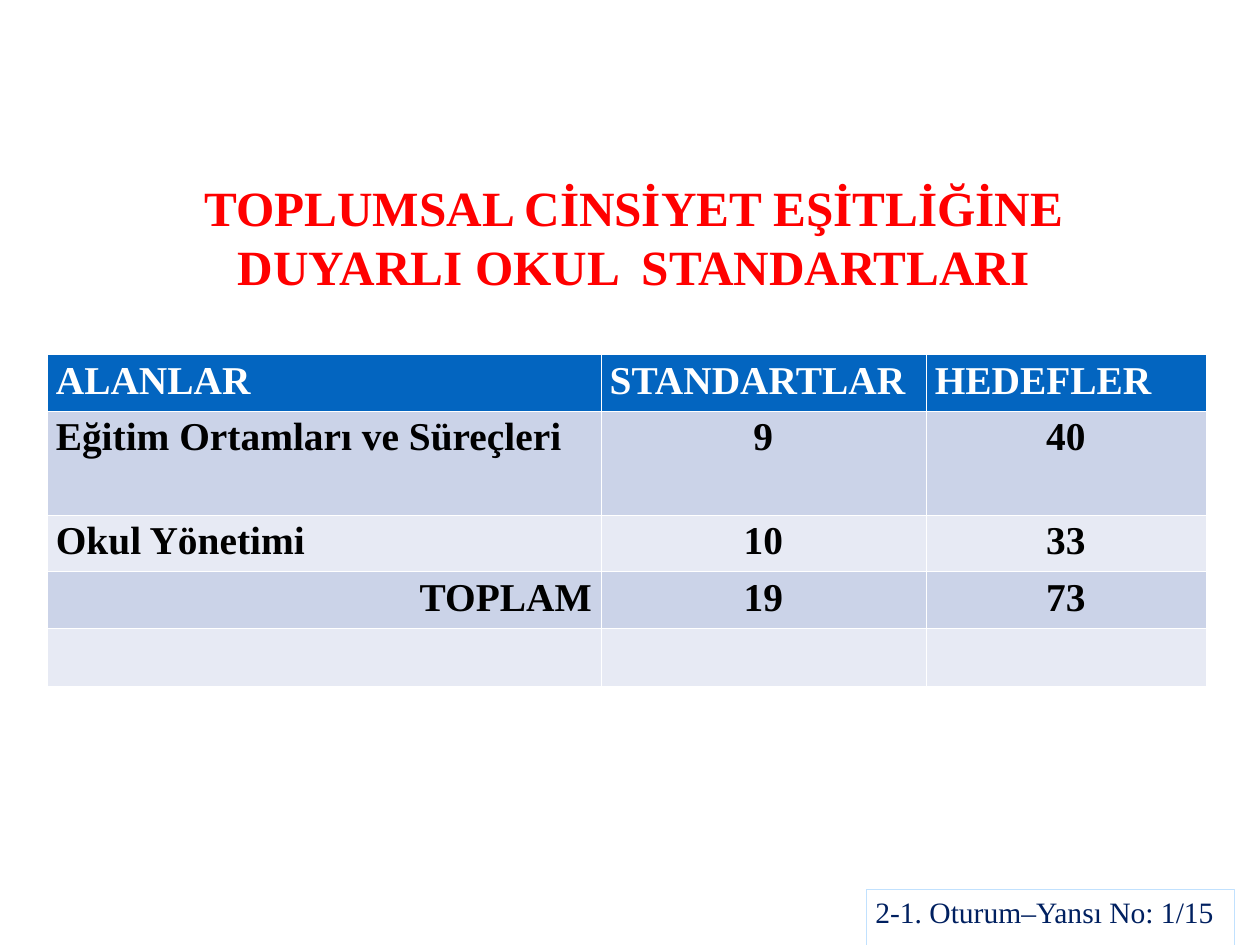
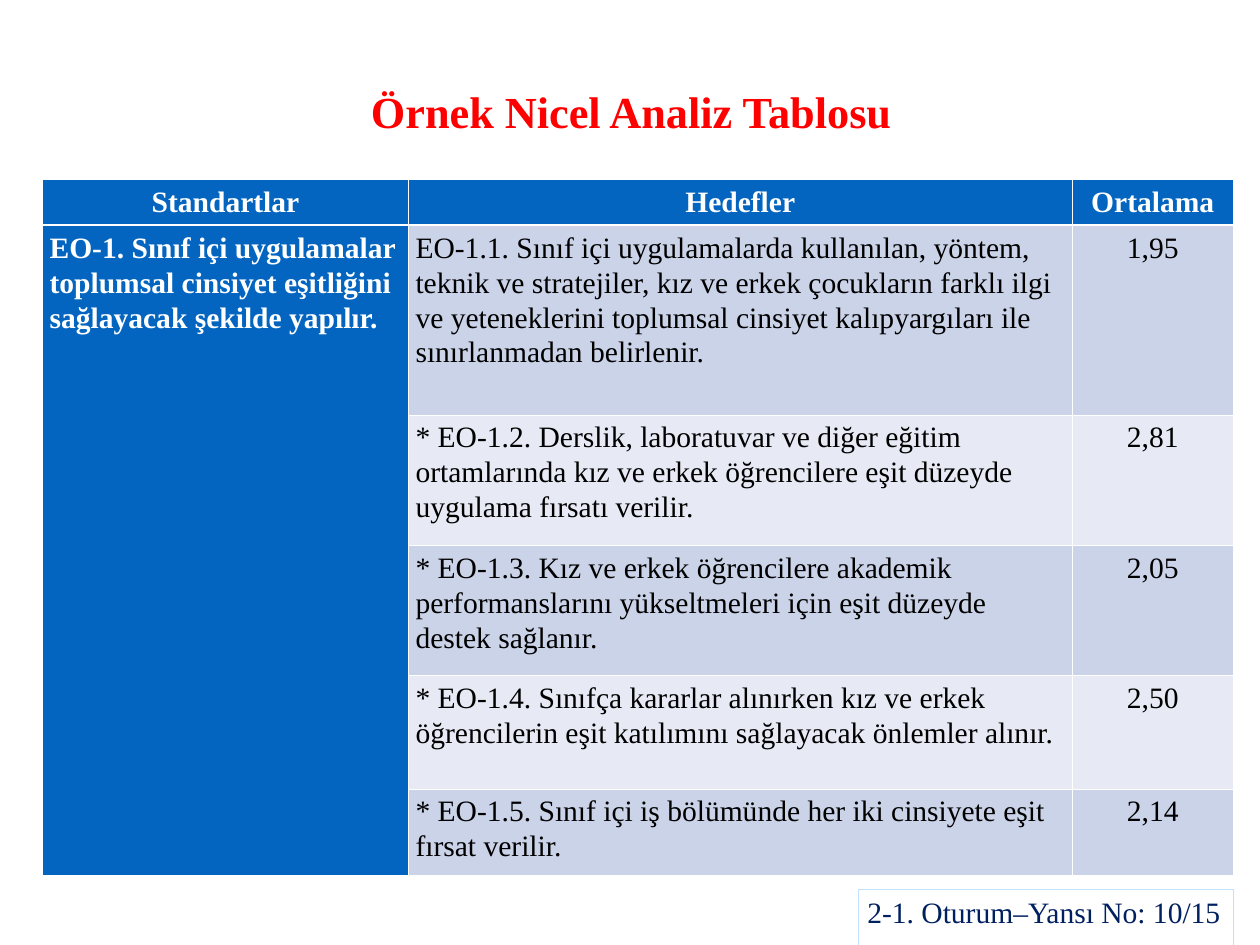
from lxml import etree
from pptx import Presentation
from pptx.dml.color import RGBColor
from pptx.enum.shapes import MSO_SHAPE
from pptx.enum.text import MSO_ANCHOR, PP_ALIGN
from pptx.oxml.ns import qn
from pptx.util import Inches, Pt

LEFT, CENTER, RIGHT = PP_ALIGN.LEFT, PP_ALIGN.CENTER, PP_ALIGN.RIGHT
TOP, MIDDLE = MSO_ANCHOR.TOP, MSO_ANCHOR.MIDDLE
RECT = MSO_SHAPE.RECTANGLE
TITLE_ONLY = 5

FONT = "Times New Roman"
COLORS = {
    "title": "FF0000", "header": "0365C0", "band_dark": "CBD3E8",
    "band_light": "E7EAF4", "white": "FFFFFF", "black": "000000",
    "footer_text": "002060", "footer_line": "C1E1FE",
}
THIN, THICK = Pt(0.45), Pt(1.47)

# Content
SLIDES = [
    {
        "title": "TOPLUMSAL CİNSİYET EŞİTLİĞİNE DUYARLI OKUL  STANDARTLARI",
        "title_box": (1.02, 2.14, 12.27, 1.05), "title_size": 40,
        "footer": "2-1. Oturum–Yansı No: 1/15", "footer_box": (9.78, 10.03, 4.15, 0.9),
        "table": {
            "at": (0.53, 4), "cols": (6.25, 3.67, 3.16),
            "row_heights": (0.64, 1.17, 0.64, 0.64, 0.65),
            "size": 32, "margin": 0.1, "spacing": 1.0, "bold_body": True,
            "header_align": LEFT, "right_cells": [(3, 0)], "merged_first": False,
            "rows": [
                ("ALANLAR", "STANDARTLAR", "HEDEFLER"),
                ("Eğitim Ortamları ve Süreçleri", "9", "40"),
                ("Okul Yönetimi", "10", "33"),
                ("TOPLAM", "19", "73"),
                ("", "", ""),
            ],
            "body_align": (LEFT, CENTER, CENTER),
        },
    },
    {
        "title": "Örnek Nicel Analiz Tablosu",
        "title_box": (1.37, 0.71, 11.51, 1.08), "title_size": 36,
        "footer": "2-1. Oturum–Yansı No: 10/15", "footer_box": (9.69, 10.03, 4.23, 0.9),
        "table": {
            "at": (0.48, 2.02), "cols": (4.13, 7.49, 1.82),
            "row_heights": (0.52, 2.14, 1.47, 1.47, 1.28, 0.97),
            "size": 24, "margin": 0.08, "spacing": 1.07, "bold_body": False,
            "header_align": CENTER, "right_cells": [], "merged_first": True,
            "rows": [
                ("Standartlar", "Hedefler", "Ortalama"),
                ("EO-1. Sınıf içi uygulamalar toplumsal cinsiyet eşitliğini sağlayacak "
                 "şekilde yapılır.",
                 "EO-1.1. Sınıf içi uygulamalarda kullanılan, yöntem, teknik ve stratejiler, "
                 "kız ve erkek çocukların farklı ilgi ve yeteneklerini toplumsal cinsiyet "
                 "kalıpyargıları ile sınırlanmadan belirlenir.", "1,95"),
                ("", "* EO-1.2. Derslik, laboratuvar ve diğer eğitim ortamlarında kız ve "
                 "erkek öğrencilere eşit düzeyde uygulama fırsatı verilir.", "2,81"),
                ("", "* EO-1.3. Kız ve erkek öğrencilere akademik performanslarını "
                 "yükseltmeleri için eşit düzeyde destek sağlanır.", "2,05"),
                ("", "* EO-1.4. Sınıfça kararlar alınırken kız ve erkek öğrencilerin eşit "
                 "katılımını sağlayacak önlemler alınır.", "2,50"),
                ("", "* EO-1.5. Sınıf içi iş bölümünde her iki cinsiyete eşit fırsat "
                 "verilir.", "2,14"),
            ],
            "body_align": (LEFT, LEFT, CENTER),
        },
    },
]


def rgb(name):
    return RGBColor.from_string(COLORS[name])


def inches(values):
    return [Inches(v) for v in values]


def style(p, size, color, bold=False, align=LEFT):
    p.alignment = align
    p.font.name, p.font.size, p.font.bold = FONT, Pt(size), bold
    p.font.color.rgb = rgb(color)


def set_margins(frame, x, y):
    frame.margin_left = frame.margin_right = Inches(x)
    frame.margin_top = frame.margin_bottom = Inches(y)


def add_title(s, text, box, size):
    sp = s.shapes.title
    sp.left, sp.top, sp.width, sp.height = inches(box)
    tf = sp.text_frame
    tf.text = text
    tf.word_wrap, tf.vertical_anchor = True, MIDDLE
    set_margins(tf, 0, 0)
    style(tf.paragraphs[0], size, "title", True, CENTER)


def add_footer(s, text, box):
    sp = s.shapes.add_shape(RECT, *inches(box))
    sp.shadow.inherit = False
    sp.fill.background()
    sp.line.color.rgb, sp.line.width = rgb("footer_line"), Pt(0.25)
    tf = sp.text_frame
    tf.text = text
    tf.word_wrap, tf.vertical_anchor = True, TOP
    set_margins(tf, 0.1, 0.05)
    style(tf.paragraphs[0], 24, "footer_text")


def set_borders(cell, row):
    """White rules, thicker between the header and the body."""
    widths = {"a:lnL": THIN, "a:lnR": THIN,
              "a:lnT": THICK if row == 1 else THIN,
              "a:lnB": THICK if row == 0 else THIN}
    pr = cell._tc.get_or_add_tcPr()
    for i, (tag, width) in enumerate(widths.items()):
        ln = etree.Element(qn(tag), w=str(int(width)))
        fill = etree.SubElement(ln, qn("a:solidFill"))
        etree.SubElement(fill, qn("a:srgbClr"), val=COLORS["white"])
        pr.insert(i, ln)


def add_table(s, t):
    rows, cols, heights = t["rows"], t["cols"], t["row_heights"]
    frame = s.shapes.add_table(len(rows), len(cols), *inches(t["at"]),
                               Inches(sum(cols)), Inches(sum(heights)))
    table = frame.table
    for column, width in zip(table.columns, cols):
        column.width = Inches(width)
    for row, height in zip(table.rows, heights):
        row.height = Inches(height)

    for r, row in enumerate(rows):
        for c, text in enumerate(row):
            cell = table.cell(r, c)
            heading = r == 0 or (t["merged_first"] and c == 0)
            band = "band_dark" if r % 2 else "band_light"
            cell.fill.solid()
            cell.fill.fore_color.rgb = rgb("header" if heading else band)
            set_borders(cell, r)
            set_margins(cell, t["margin"], 0.05)
            if not text:
                continue
            cell.text = text
            align = t["header_align"] if r == 0 else t["body_align"][c]
            if (r, c) in t["right_cells"]:
                align = RIGHT
            p = cell.text_frame.paragraphs[0]
            p.line_spacing = t["spacing"]
            style(p, t["size"], "white" if heading else "black",
                  heading or t["bold_body"], align)

    if t["merged_first"]:
        table.cell(1, 0).merge(table.cell(len(rows) - 1, 0))


def main():
    prs = Presentation()
    prs.slide_width, prs.slide_height = Inches(14.22), Inches(10.66)
    for content in SLIDES:
        s = prs.slides.add_slide(prs.slide_layouts[TITLE_ONLY])
        add_title(s, content["title"], content["title_box"], content["title_size"])
        add_table(s, content["table"])
        add_footer(s, content["footer"], content["footer_box"])
    prs.save("out.pptx")


if __name__ == "__main__":
    main()
